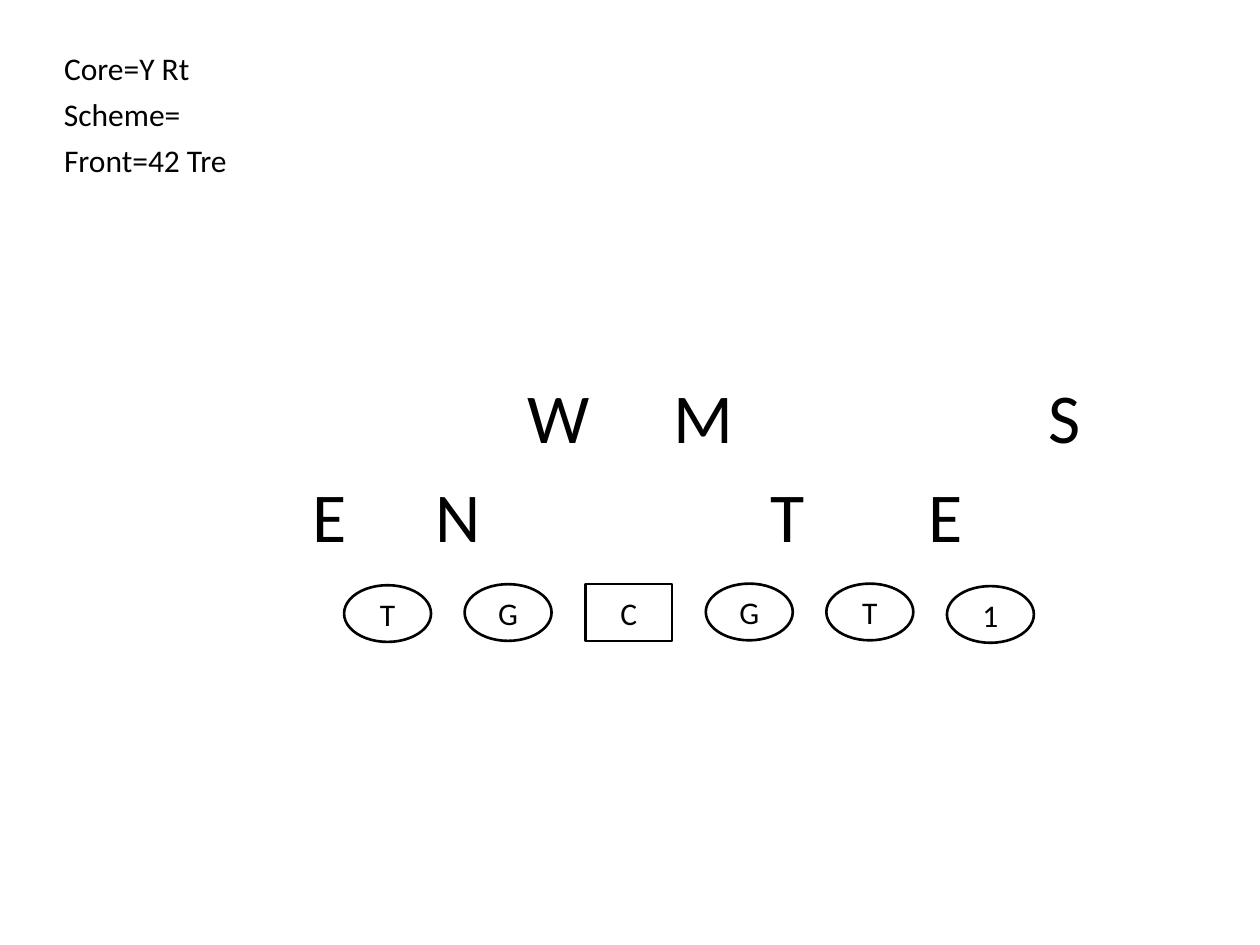
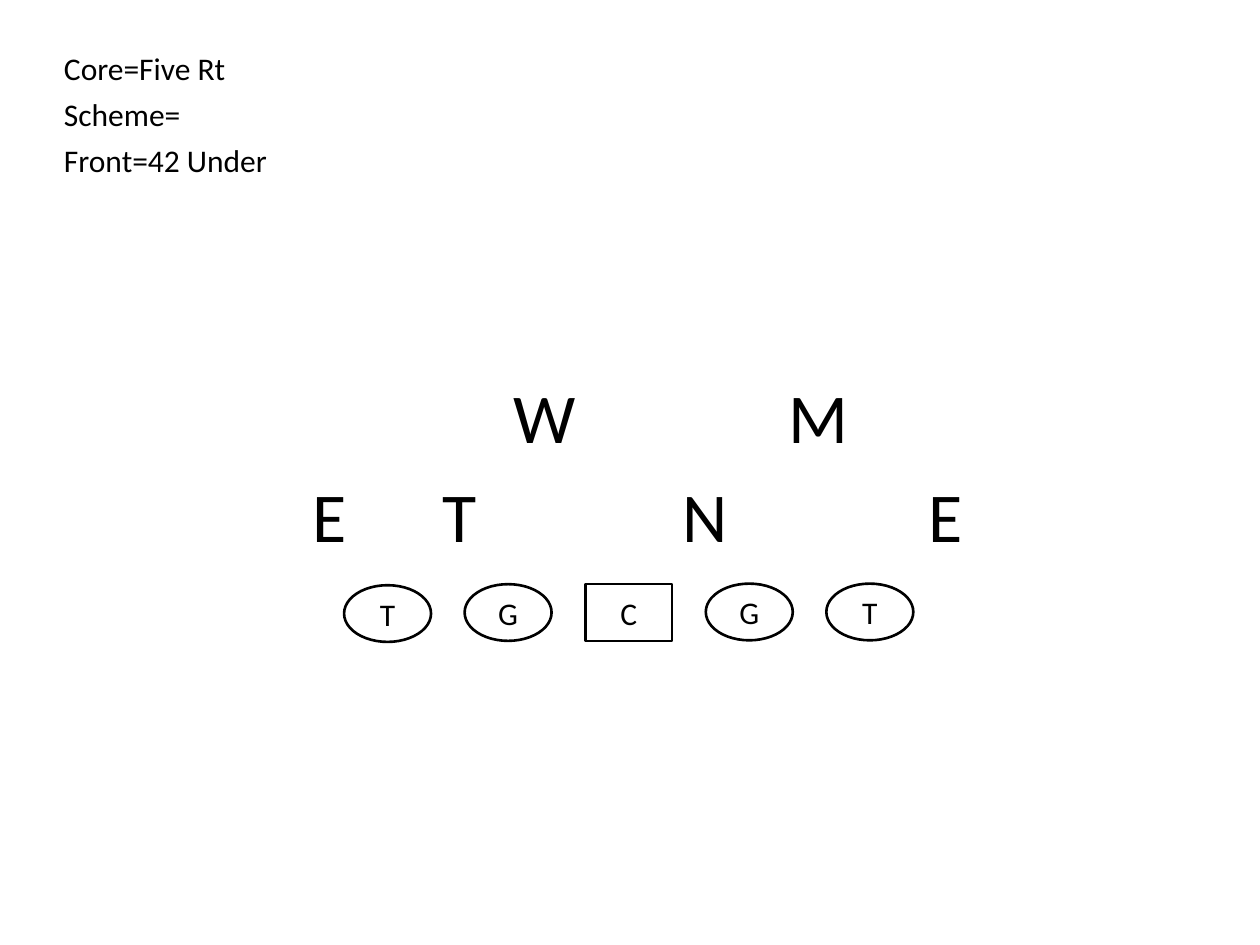
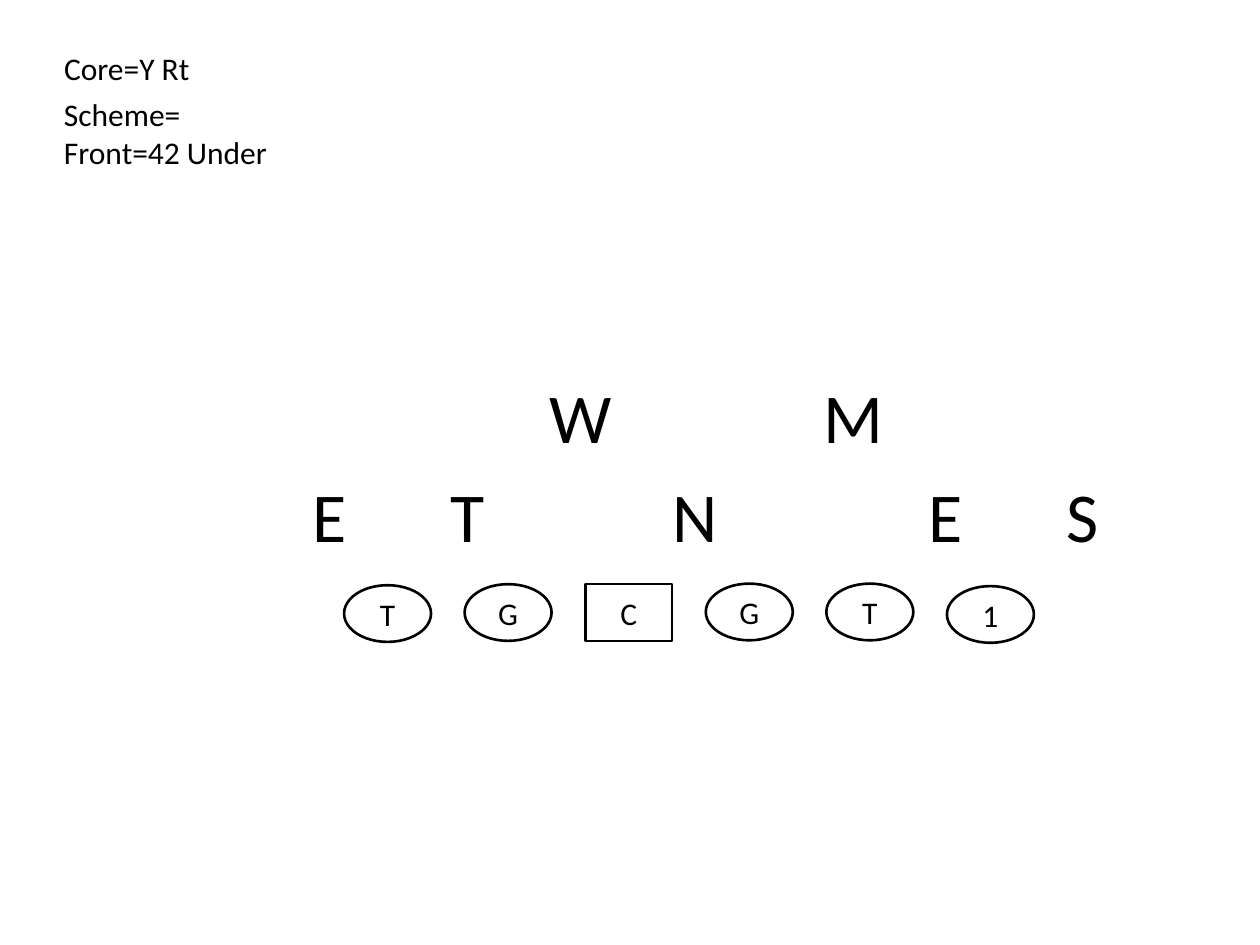
from dataclasses import dataclass

from pptx import Presentation
from pptx.dml.color import RGBColor
from pptx.enum import shapes, text
from pptx.util import Pt

BLACK = RGBColor(0x00, 0x00, 0x00)
WHITE = RGBColor(0xFF, 0xFF, 0xFF)
FONT = "Calibri"
CALL_SIZE, DEFENDER_SIZE = 18, 40

CALL_LEFT, CALL_HEIGHT = 29.5, 29
CORE_TOP, SCHEME_TOP, FRONT_TOP = 24.5, 51, 77

LINE_LEFT, LINE_PITCH = 196.6, 68.9
PLAYER_WIDTH, PLAYER_HEIGHT = 49.7, 32.4

BACKERS_TOP, RUSHERS_TOP = 210.2, 266.4
DEFENDER_HEIGHT = 55.4
DEFENDER_WIDTHS = {"W": 50.4, "M": 50.4, "N": 40.3, "T": 34.6, "E": 34.6, "S": 34.6}


@dataclass(frozen=True)
class Lineman:
    label: str
    top: float
    outline: shapes.MSO_SHAPE = shapes.MSO_SHAPE.OVAL


@dataclass(frozen=True)
class Call:
    words: str
    width: float
    top: float


@dataclass(frozen=True)
class Defender:
    label: str
    left: float
    top: float = RUSHERS_TOP


@dataclass(frozen=True)
class Play:
    core: Call
    front: Call
    line: list[Lineman]
    defenders: list[Defender]


FIVE_LINE = [
    Lineman("T", 334.4),
    Lineman("G", 333.8),
    Lineman("C", 333.8, shapes.MSO_SHAPE.RECTANGLE),
    Lineman("G", 333.5),
    Lineman("T", 333.5),
]
Y_LINE = FIVE_LINE + [Lineman("1", 334.9)]

CORE_Y = Call("Core=Y Rt", 87.1, CORE_TOP)
CORE_FIVE = Call("Core=Five Rt", 108, CORE_TOP)
SCHEME = Call("Scheme=", 82.1, SCHEME_TOP)
ENDS = [Defender("E", 171.4), Defender("E", 523.4)]

PLAYS = [
    Play(CORE_Y, Call("Front=42 Tre", 108.7, FRONT_TOP), Y_LINE, ENDS + [
        Defender("N", 241.9),
        Defender("T", 433.4),
        Defender("W", 294.5, BACKERS_TOP),
        Defender("M", 378, BACKERS_TOP),
        Defender("S", 591.8, BACKERS_TOP),
    ]),
    Play(CORE_FIVE, Call("Front=42 Under", 131.8, FRONT_TOP), FIVE_LINE, ENDS + [
        Defender("N", 383),
        Defender("T", 245.5),
        Defender("W", 286.6, BACKERS_TOP),
        Defender("M", 443.5, BACKERS_TOP),
    ]),
    Play(CORE_Y, Call("Front=42 Under", 131.8, 72.7), Y_LINE, ENDS + [
        Defender("N", 377.3),
        Defender("T", 250.6),
        Defender("W", 306.7, BACKERS_TOP),
        Defender("M", 463.7, BACKERS_TOP),
        Defender("S", 602.6),
    ]),
]


def write(frame, words: str, size: float, align: text.PP_ALIGN) -> None:
    para = frame.paragraphs[0]
    para.alignment = align
    span = para.add_run()
    span.text = words
    for name, value in {"name": FONT, "size": Pt(size)}.items():
        setattr(span.font, name, value)
    span.font.color.rgb = BLACK


def add_label(page, words: str, size: float, left: float, top: float,
              width: float, height: float) -> None:
    box = page.shapes.add_textbox(Pt(left), Pt(top), Pt(width), Pt(height))
    frame = box.text_frame
    frame.word_wrap = False
    frame.auto_size = text.MSO_AUTO_SIZE.SHAPE_TO_FIT_TEXT
    write(frame, words, size, text.PP_ALIGN.LEFT)


def add_call(page, call: Call) -> None:
    add_label(page, call.words, CALL_SIZE, CALL_LEFT, call.top, call.width, CALL_HEIGHT)


def add_defender(page, defender: Defender) -> None:
    add_label(page, defender.label, DEFENDER_SIZE, defender.left, defender.top,
              DEFENDER_WIDTHS[defender.label], DEFENDER_HEIGHT)


def add_lineman(page, lineman: Lineman, position: int) -> None:
    left = LINE_LEFT + position * LINE_PITCH
    player = page.shapes.add_shape(lineman.outline, Pt(left), Pt(lineman.top),
                                   Pt(PLAYER_WIDTH), Pt(PLAYER_HEIGHT))
    player.shadow.inherit = False
    player.fill.solid()
    player.fill.fore_color.rgb = WHITE
    player.line.color.rgb = BLACK
    player.line.width = Pt(1.5)
    player.text_frame.vertical_anchor = text.MSO_ANCHOR.MIDDLE
    write(player.text_frame, lineman.label, CALL_SIZE, text.PP_ALIGN.CENTER)


def add_play(deck, play: Play) -> None:
    page = deck.slides.add_slide(deck.slide_layouts[6])
    for call in (play.core, SCHEME, play.front):
        add_call(page, call)
    for position, lineman in enumerate(play.line):
        add_lineman(page, lineman, position)
    for defender in play.defenders:
        add_defender(page, defender)


def main() -> None:
    deck = Presentation()
    deck.slide_width, deck.slide_height = Pt(720), Pt(540)
    for play in PLAYS:
        add_play(deck, play)
    deck.save("out.pptx")


if __name__ == "__main__":
    main()
